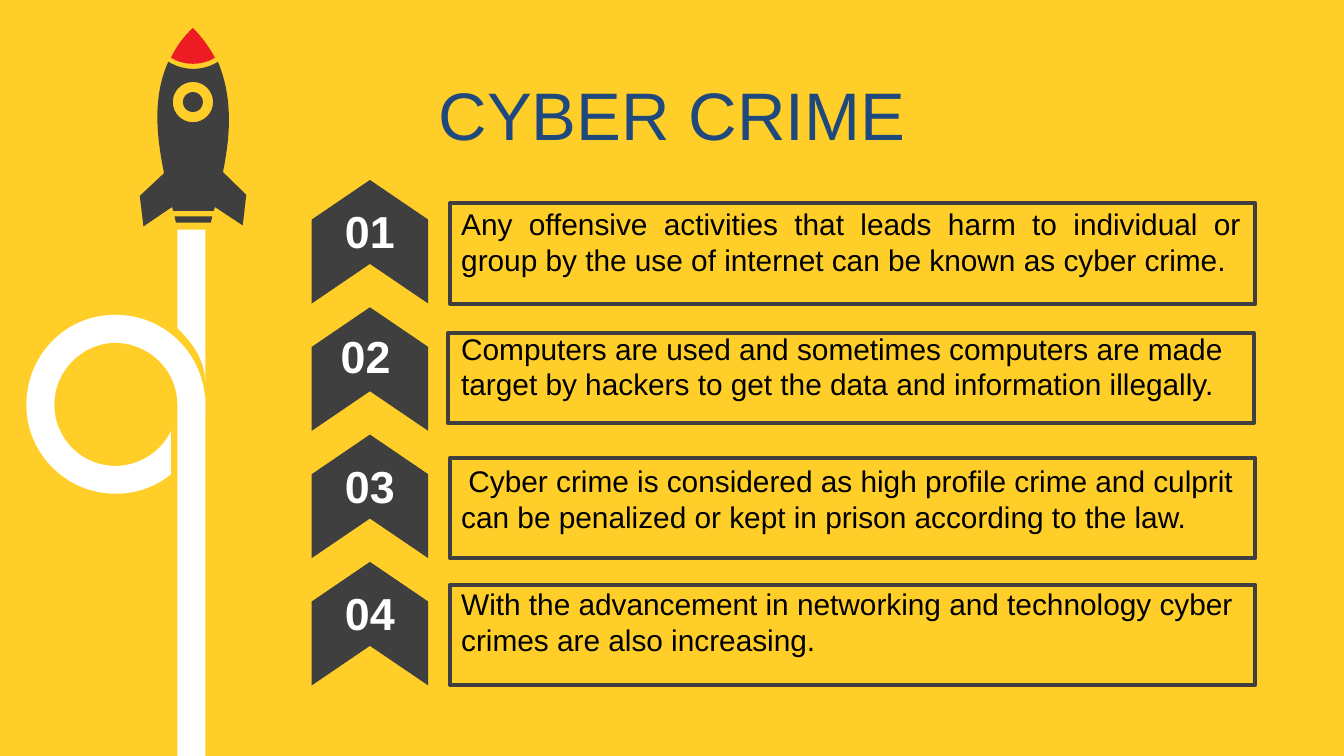
from dataclasses import dataclass

from pptx import Presentation
from pptx.dml.color import RGBColor
from pptx.enum.shapes import MSO_SHAPE
from pptx.enum.text import MSO_ANCHOR, MSO_AUTO_SIZE, PP_ALIGN
from pptx.oxml.ns import qn
from pptx.oxml.xmlchemy import OxmlElement
from pptx.util import Pt


@dataclass(frozen=True)
class Theme:
    back: str = "FFCE29"
    dark: str = "3F3F3F"
    white: str = "FFFFFF"
    red: str = "ED1C24"
    title: str = "1F497D"
    text: str = "000000"
    font: str = "Arial"
    title_size: int = 36
    number_size: int = 24
    body_size: int = 16
    space_size: int = 14
    frame_line: int = 2


T = Theme()
WIDTH, HEIGHT = 720, 405
TITLE = "CYBER CRIME"

# Text runs, alignment, frame (left, top, width, height), text top, number (left, top)
ROWS = [
    ([("Any offensive activities that leads harm to individual or group by the use "
       "of internet can be known as cyber crime.", T.body_size)],
     PP_ALIGN.JUSTIFY, (241.1, 108.7, 431.5, 54), 106.7, (176.2, 105.8)),
    ([("Computers are used and sometimes computers are made target by hackers to "
       "get the data and information illegally.", T.body_size)],
     PP_ALIGN.LEFT, (239.9, 178.4, 432, 48.2), 173.4, (173.9, 172.8)),
    ([(" ", T.space_size),
      ("Cyber crime is considered as high profile crime and culprit can be "
       "penalized or kept in prison according to the law.", T.body_size)],
     PP_ALIGN.LEFT, (241.1, 245.3, 431.5, 53.8), 244.6, (176.2, 242.2)),
    ([("With the advancement in networking and technology cyber crimes are also "
       "increasing.", T.body_size)],
     PP_ALIGN.LEFT, (241.1, 313.3, 431.5, 53.8), 310.4, (176.2, 310.3)),
]
CHEVRON = (165.1, 98.3, 66.2, 62.4)
CHEVRON_STEP = 68.2
TEXT_LEFT, TEXT_WIDTH, TEXT_HEIGHT = 240, 432, 46.1

# Contours: a pair is a line end, six numbers are a cubic curve
LOOP = [
    [(106.6, 217.4), (110, 217.4), (110, 223.2, 108.7, 229, 106.6, 234.7)],
    [(60.5, 168.7), (87.1, 167.8, 108.7, 188.6, 110, 214.6), (95, 215.3),
     (94.3, 197.3, 79.2, 183.6, 61.2, 183.6), (43.2, 184.3, 28.8, 199.4, 29.2, 217.4),
     (29.5, 235.4, 43.9, 249.6, 61.9, 249.6), (74.9, 249.6, 86.4, 241.9, 91.6, 231.1),
     (91.6, 254.2), (83.5, 260.6, 73.4, 264.5, 61.9, 264.5),
     (36, 264.5, 14.4, 243.4, 14.2, 217.4), (13.9, 190.8, 34.6, 169.2, 60.5, 168.7)],
]
TRAIL = [[(95, 123), (110, 123), (110, 150.5, 110, 177.8, 110, 204.5),
          (109.4, 192.2, 103.7, 184.3, 95, 175.7), (95, 123)]]
NOZZLE = [(93.6, 115.9), (113.8, 115.9), (113.8, 117.4, 113, 118.1, 113, 119.3),
          (94.3, 119.3)]
HULL = [(90.2, 33.1), (98.6, 38.2, 108.7, 38.2, 116.8, 33.1),
        (125.3, 53.3, 123.1, 74.2, 119.5, 92.2), (132, 104.4), (130.1, 120.8),
        (115.2, 110.9), (114.5, 113), (92.9, 113), (92.7, 112.3, 92.3, 111.6, 92.2, 110.9),
        (76.9, 121.3), (74.9, 105), (87.8, 92.9), (87.8, 92.2),
        (84.2, 74.2, 81.4, 52.6, 90.2, 33.1)]
NOSE = [[(103.3, 15), (108.7, 20.2, 112.3, 25.9, 115.2, 31),
         (108, 35.3, 98.6, 35.3, 91.6, 31), (94.3, 25.2, 97.9, 20.2, 103.3, 15)]]
PORTHOLE = (103.4, 54.7)
PORTHOLE_RADII = (10.8, 5.4)
STEM = (95, 213, 15, 192)


def rgb(color):
    return RGBColor.from_string(color)


def circle(center, radius):
    """Four cubic curves, a quarter turn each."""
    x, y = center
    k = 0.55 * radius
    contour = [(x + radius, y)]
    dx, dy = 1, 0
    for _ in range(4):
        ex, ey = -dy, dx
        contour.append((x + radius * dx + k * ex, y + radius * dy + k * ey,
                        x + radius * ex + k * dx, y + radius * ey + k * dy,
                        x + radius * ex, y + radius * ey))
        dx, dy = ex, ey
    return contour


def bend(sp, contours):
    """Merge each three line steps that hold a cubic's points into one curve."""
    steps = iter(list(sp.element.find(".//" + qn("a:path"))))
    for contour in contours:
        for seg in contour:
            group = [next(steps) for _ in range(len(seg) // 2)]
            if len(group) == 3:
                curve = OxmlElement("a:cubicBezTo")
                group[0].addprevious(curve)
                for step in group:
                    curve.append(step[0])
                    step.getparent().remove(step)
        next(steps)  # the close element


def paint(sp, fill=None, line=None):
    sp.shadow.inherit = False
    if fill:
        sp.fill.solid()
        sp.fill.fore_color.rgb = rgb(fill)
    else:
        sp.fill.background()
    if line:
        sp.line.color.rgb = rgb(line)
        sp.line.width = Pt(T.frame_line)
    else:
        sp.line.fill.background()


def add_outline(s, contours, fill):
    builder = None
    for contour in contours:
        points = [(Pt(seg[i]), Pt(seg[i + 1]))
                  for seg in contour for i in range(0, len(seg), 2)]
        if builder is None:
            builder = s.shapes.build_freeform(*points[0], scale=1.0)
        else:
            builder.move_to(*points[0])
        builder.add_line_segments(points[1:], close=True)
    sp = builder.convert_to_shape()
    bend(sp, contours)
    paint(sp, fill)


def add_shape(s, kind, box, fill=None, line=None):
    sp = s.shapes.add_shape(kind, *map(Pt, box))
    paint(sp, fill, line)
    return sp


def add_text(s, box, runs, color, align, bold=False):
    tf = s.shapes.add_textbox(*map(Pt, box)).text_frame
    tf.word_wrap = True
    p = tf.paragraphs[0]
    p.alignment = align
    for text, size in runs:
        r = p.add_run()
        r.text = text
        r.font.name, r.font.size, r.font.bold = T.font, Pt(size), bold
        r.font.color.rgb = rgb(color)
    return tf


def main():
    prs = Presentation()
    prs.slide_width, prs.slide_height = Pt(WIDTH), Pt(HEIGHT)
    s = prs.slides.add_slide(prs.slide_layouts[6])
    s.background.fill.solid()
    s.background.fill.fore_color.rgb = rgb(T.back)

    add_outline(s, LOOP, T.white)
    add_outline(s, TRAIL, T.white)
    tf = add_text(s, (0, 38.2, WIDTH, 45.4), [(TITLE, T.title_size)], T.title,
                  PP_ALIGN.CENTER)
    tf.vertical_anchor = MSO_ANCHOR.MIDDLE
    portholes = [circle(PORTHOLE, radius) for radius in PORTHOLE_RADII]
    add_outline(s, [NOZZLE, *portholes, HULL], T.dark)
    add_shape(s, MSO_SHAPE.RECTANGLE, STEM, T.white)
    add_outline(s, NOSE, T.red)

    left, top, width, height = CHEVRON
    for i, (_, _, frame, _, number_at) in enumerate(ROWS):
        add_shape(s, MSO_SHAPE.RECTANGLE, frame, line=T.dark)
        chevron = add_shape(s, MSO_SHAPE.CHEVRON,
                            (left, top + i * CHEVRON_STEP, width, height), T.dark)
        chevron.adjustments[0] = 0.34
        chevron.rotation = 270
        add_text(s, (*number_at, 43.9, 36), [(f"{i + 1:02}", T.number_size)], T.white,
                 PP_ALIGN.CENTER, bold=True)

    for runs, align, _, text_top, _ in ROWS:
        tf = add_text(s, (TEXT_LEFT, text_top, TEXT_WIDTH, TEXT_HEIGHT), runs, T.text,
                      align)
        tf.auto_size = MSO_AUTO_SIZE.SHAPE_TO_FIT_TEXT

    prs.save("out.pptx")


if __name__ == "__main__":
    main()
